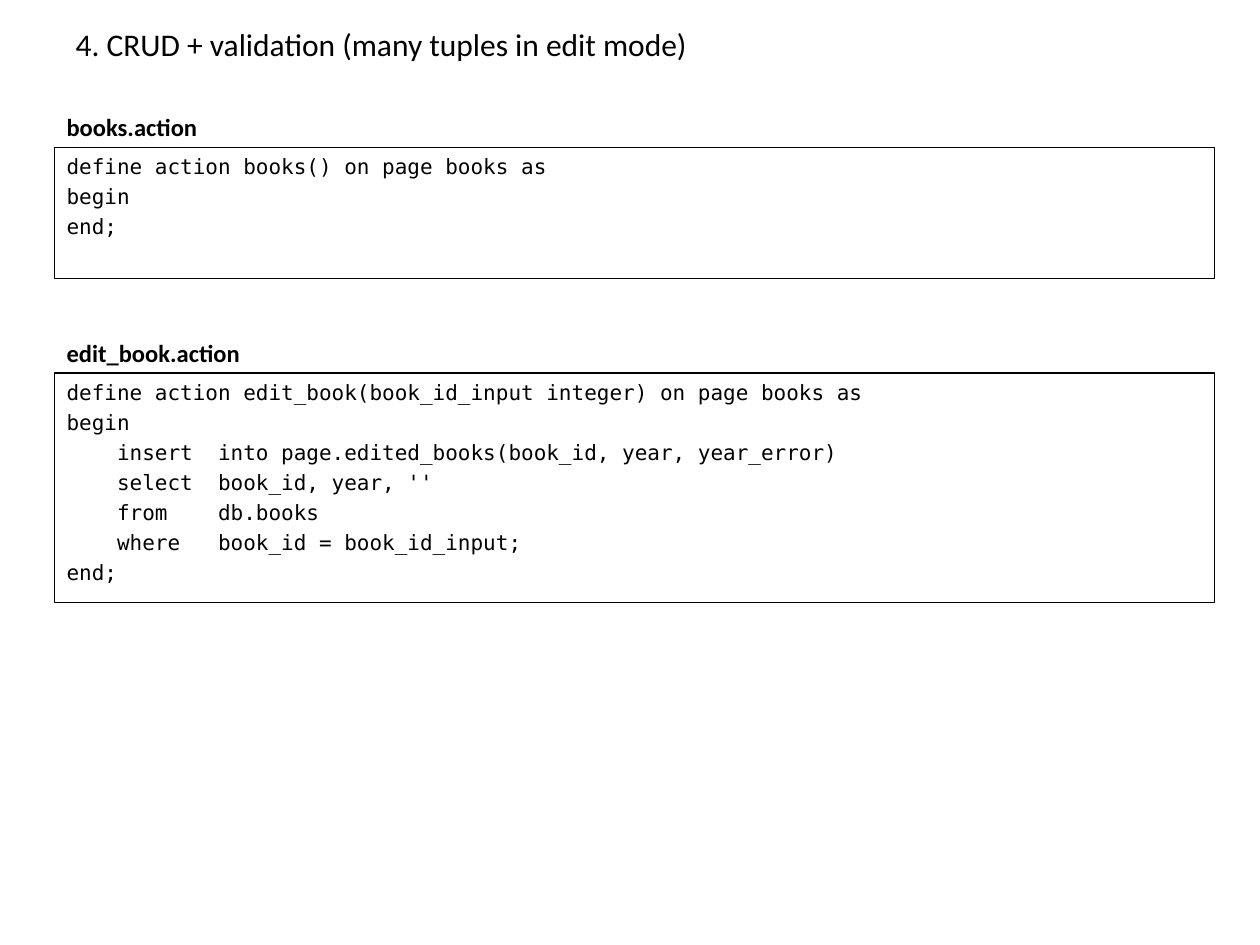
"""Build the slide listing the actions for editing many tuples."""
import pptx
import pptx.dml.color
import pptx.enum.shapes
import pptx.enum.text
import pptx.util
from pptx.util import Inches

COLOURS = {"ink": "000000"}
LEFT = 0.43
LISTING_WIDTH = 9.21
LABEL_RISE = 0.33

BOOKS_CODE = """define action books() on page books as
begin
end;"""

EDIT_BOOK_CODE = """define action edit_book(book_id_input integer) on page books as
begin
    insert  into page.edited_books(book_id, year, year_error)
    select  book_id, year, ''
    from    db.books
    where   book_id = book_id_input;
end;"""


def ink():
    """Return the colour of text and outlines."""
    return pptx.dml.color.RGBColor.from_string(COLOURS["ink"])


def add_run(paragraph, text, size, font, bold=False):
    """Add one left-aligned, formatted run to a paragraph."""
    paragraph.alignment = pptx.enum.text.PP_ALIGN.LEFT
    run = paragraph.add_run()
    run.text = text
    run.font.size = pptx.util.Pt(size)
    run.font.name = font
    run.font.bold = bold
    run.font.color.rgb = ink()


def add_title(slide, text):
    """Place and fill the title placeholder."""
    title = slide.shapes.title
    title.left, title.top = Inches(0.5), Inches(0.13)
    title.width, title.height = Inches(9), Inches(0.43)
    frame = title.text_frame
    frame.auto_size = pptx.enum.text.MSO_AUTO_SIZE.NONE
    frame.vertical_anchor = pptx.enum.text.MSO_ANCHOR.MIDDLE
    add_run(frame.paragraphs[0], text, 18, "Calibri")


def add_label(slide, text, top, width):
    """Add the bold file name above a listing."""
    label = slide.shapes.add_textbox(
        Inches(LEFT), Inches(top), Inches(width), Inches(0.34))
    frame = label.text_frame
    frame.word_wrap = False
    frame.auto_size = pptx.enum.text.MSO_AUTO_SIZE.SHAPE_TO_FIT_TEXT
    add_run(frame.paragraphs[0], text, 14, "Calibri", bold=True)


def add_listing(slide, code, top, height):
    """Add an outlined box with one paragraph per line of code."""
    listing = slide.shapes.add_shape(
        pptx.enum.shapes.MSO_SHAPE.RECTANGLE,
        Inches(LEFT), Inches(top), Inches(LISTING_WIDTH), Inches(height))
    listing.shadow.inherit = False
    listing.fill.background()
    listing.line.color.rgb = ink()
    listing.line.width = pptx.util.Pt(0.75)
    frame = listing.text_frame
    frame.word_wrap = True
    frame.vertical_anchor = pptx.enum.text.MSO_ANCHOR.TOP
    for number, line in enumerate(code.splitlines()):
        paragraph = frame.add_paragraph() if number else frame.paragraphs[0]
        if number:
            paragraph.space_before = pptx.util.Pt(2.8)
        add_run(paragraph, line, 12, "DejaVu Sans Mono")


def main():
    """Build and save the presentation."""
    presentation = pptx.Presentation()
    presentation.slide_width = Inches(10)
    presentation.slide_height = Inches(7.5)
    slide = presentation.slides.add_slide(presentation.slide_layouts[5])
    add_title(slide, "4. CRUD + validation (many tuples in edit mode)")
    actions = [
        ("books.action", 1.25, BOOKS_CODE, 1.17, 1.04),
        ("edit_book.action", 1.59, EDIT_BOOK_CODE, 2.96, 1.82),
    ]
    for file_name, label_width, code, top, height in actions:
        add_listing(slide, code, top, height)
        add_label(slide, file_name, top - LABEL_RISE, label_width)
    presentation.save("out.pptx")


if __name__ == "__main__":
    main()
